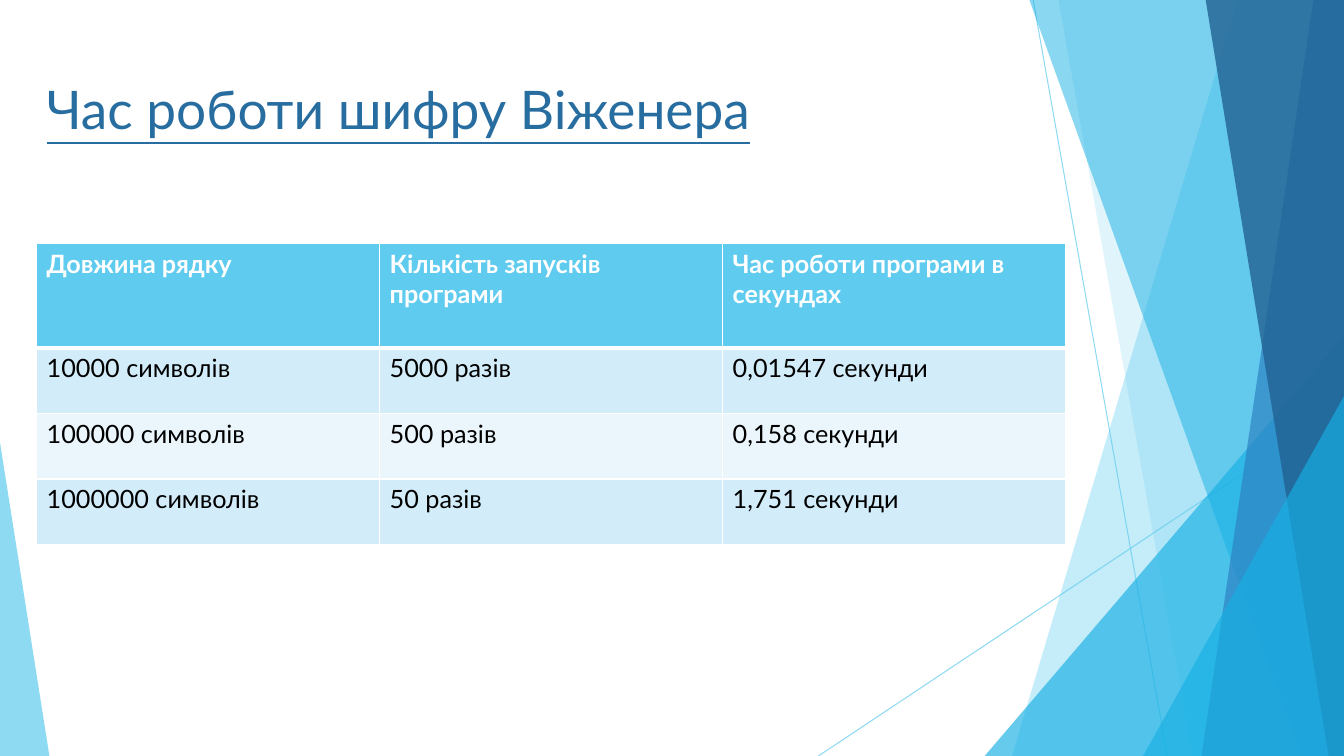
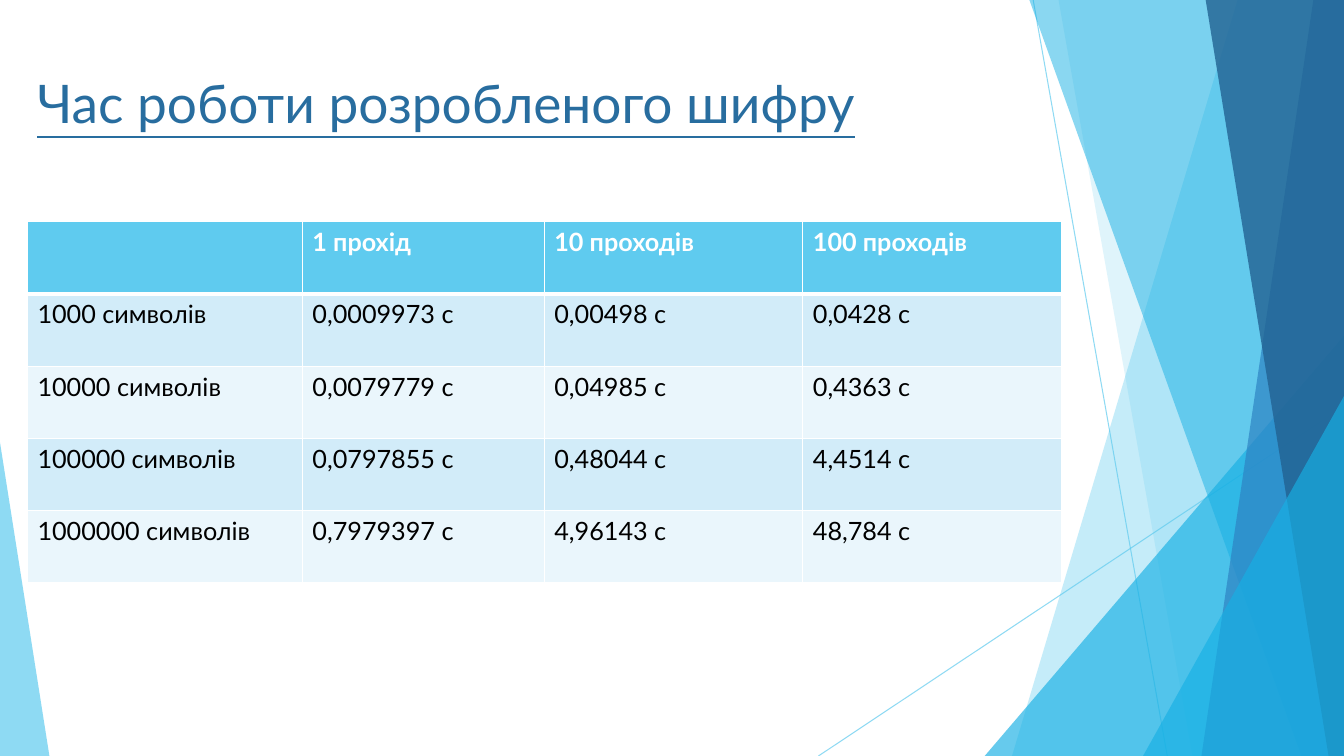
from lxml.etree import SubElement
from pptx import Presentation
from pptx.dml.color import RGBColor
from pptx.enum.shapes import MSO_CONNECTOR, MSO_SHAPE
from pptx.oxml.ns import qn
from pptx.util import Pt

PAGE_WIDTH, PAGE_HEIGHT = 960, 540
FONT = "Lato"
SKY, AZURE, BLUE, NAVY = "5FCBEF", "17B0E4", "2E83C3", "226292"
TITLE_COLOR, WHITE, BLACK = "286D9F", "FFFFFF", "000000"
ROW_FILLS = ("D2ECF9", "EAF6FC")

RAYS = [(738, 0, 833.8, 540), (960, 290.2, 584.6, 540)]
BACK_BANDS = [(884.2, 722.9, SKY, 36), (756, 851.8, SKY, 20)]
FRONT_BANDS = [(735.1, 929.5, AZURE, 50), (938.2, 858.2, BLUE, 70), (861.1, 949, NAVY, 80)]
BACK_TRIANGLE = (703.4, 239.8, 256.6, 1, AZURE, 66)
FRONT_TRIANGLES = [(816.5, 283, 143.5, 1, AZURE, 66), (0, 316.1, 35.3, 0, SKY, 70)]


def rgb(value):
    return RGBColor.from_string(value)


def set_opacity(shape, percent):
    color = shape.element.spPr.find(".//" + qn("a:srgbClr"))
    SubElement(color, qn("a:alpha"), val=str(percent * 1000))


def paint(shape, color, opacity):
    shape.shadow.inherit = False
    shape.fill.solid()
    shape.fill.fore_color.rgb = rgb(color)
    shape.line.fill.background()
    set_opacity(shape, opacity)


def add_ray(page, start_x, start_y, end_x, end_y):
    ray = page.shapes.add_connector(
        MSO_CONNECTOR.STRAIGHT, Pt(start_x), Pt(start_y), Pt(end_x), Pt(end_y))
    ray.line.width = Pt(0.75)
    ray.line.color.rgb = rgb(SKY)
    set_opacity(ray, 70)
    SubElement(ray.element.spPr, qn("a:effectLst"))


def add_band(page, top_x, bottom_x, color, opacity):
    top = Pt(-0.6)
    right, bottom = Pt(PAGE_WIDTH), Pt(PAGE_HEIGHT)
    outline = page.shapes.build_freeform(Pt(top_x), top)
    outline.add_line_segments([(right, top), (right, bottom), (Pt(bottom_x), bottom)])
    paint(outline.convert_to_shape(), color, opacity)


def add_triangle(page, left, top, width, apex, color, opacity):
    triangle = page.shapes.add_shape(
        MSO_SHAPE.ISOSCELES_TRIANGLE, Pt(left), Pt(top), Pt(width), Pt(PAGE_HEIGHT - top))
    triangle.adjustments[0] = apex
    paint(triangle, color, opacity)


def add_decoration(page):
    for ray in RAYS:
        add_ray(page, *ray)
    for band in BACK_BANDS:
        add_band(page, *band)
    add_triangle(page, *BACK_TRIANGLE)
    for band in FRONT_BANDS:
        add_band(page, *band)
    for triangle in FRONT_TRIANGLES:
        add_triangle(page, *triangle)


def format_spans(text_frame, size, color, bold=False, underline=False):
    for para in text_frame.paragraphs:
        for span in para.runs:
            span.font.name = FONT
            span.font.size = Pt(size)
            span.font.color.rgb = rgb(color)
            span.font.bold = bold
            span.font.underline = underline


def add_title(page, left, top, text):
    box = page.shapes.add_textbox(Pt(left), Pt(top), Pt(676.8), Pt(103.7))
    box.text_frame.word_wrap = True
    box.text_frame.text = text
    format_spans(box.text_frame, 38, TITLE_COLOR, underline=True)


def set_borders(cell, top_width, bottom_width):
    properties = cell._tc.get_or_add_tcPr()
    widths = {"a:lnL": 1, "a:lnR": 1, "a:lnT": top_width, "a:lnB": bottom_width}
    for tag, width in widths.items():
        line = SubElement(properties, qn(tag), w=str(Pt(width)))
        fill = SubElement(line, qn("a:solidFill"))
        SubElement(fill, qn("a:srgbClr"), val=WHITE)


def fill_cell(cell, text, row_index):
    is_header = row_index == 0
    set_borders(cell, 3 if row_index == 1 else 1, 3 if is_header else 1)
    cell.fill.solid()
    cell.fill.fore_color.rgb = rgb(SKY if is_header else ROW_FILLS[(row_index - 1) % 2])
    cell.text_frame.text = text
    format_spans(cell.text_frame, 18, WHITE if is_header else BLACK, bold=is_header)


def add_data_table(page, left, top, widths, heights, rows):
    table = page.shapes.add_table(
        len(rows), len(widths), Pt(left), Pt(top), Pt(sum(widths)), Pt(sum(heights))).table
    for column, width in zip(table.columns, widths):
        column.width = Pt(width)
    for row, height in zip(table.rows, heights):
        row.height = Pt(height)
    for row_index, texts in enumerate(rows):
        for column_index, text in enumerate(texts):
            fill_cell(table.cell(row_index, column_index), text, row_index)


def add_page(deck, left, title_top, title, table_top, widths, heights, rows):
    page = deck.slides.add_slide(deck.slide_layouts[6])
    add_decoration(page)
    add_title(page, left, title_top, title)
    add_data_table(page, left, table_top, widths, heights, rows)


def main():
    deck = Presentation()
    deck.slide_width, deck.slide_height = Pt(PAGE_WIDTH), Pt(PAGE_HEIGHT)
    add_page(
        deck, 26.2, 51, "Час роботи шифру Віженера",
        173.8, [245] * 3, [74.8] + [46.8] * 3,
        [
            ("Довжина рядку", "Кількість запусків програми", "Час роботи програми в секундах"),
            ("10000 символів", "5000 разів", "0,01547 секунди"),
            ("100000 символів", "500 разів", "0,158 секунди"),
            ("1000000 символів", "50 разів", "1,751 секунди"),
        ])
    add_page(
        deck, 19.6, 46.8, "Час роботи розробленого шифру",
        158.4, [196.4, 172.8, 184.7, 184.7], [51.6] * 5,
        [
            ("", "1 прохід", "10 проходів", "100 проходів"),
            ("1000 символів", "0,0009973 с", "0,00498 с", "0,0428 с"),
            ("10000 символів", "0,0079779 с", "0,04985 с", "0,4363 с"),
            ("100000 символів", "0,0797855 с", "0,48044 с", "4,4514 с"),
            ("1000000 символів", "0,7979397 с", "4,96143 с", "48,784 с"),
        ])
    deck.save("out.pptx")


if __name__ == "__main__":
    main()
